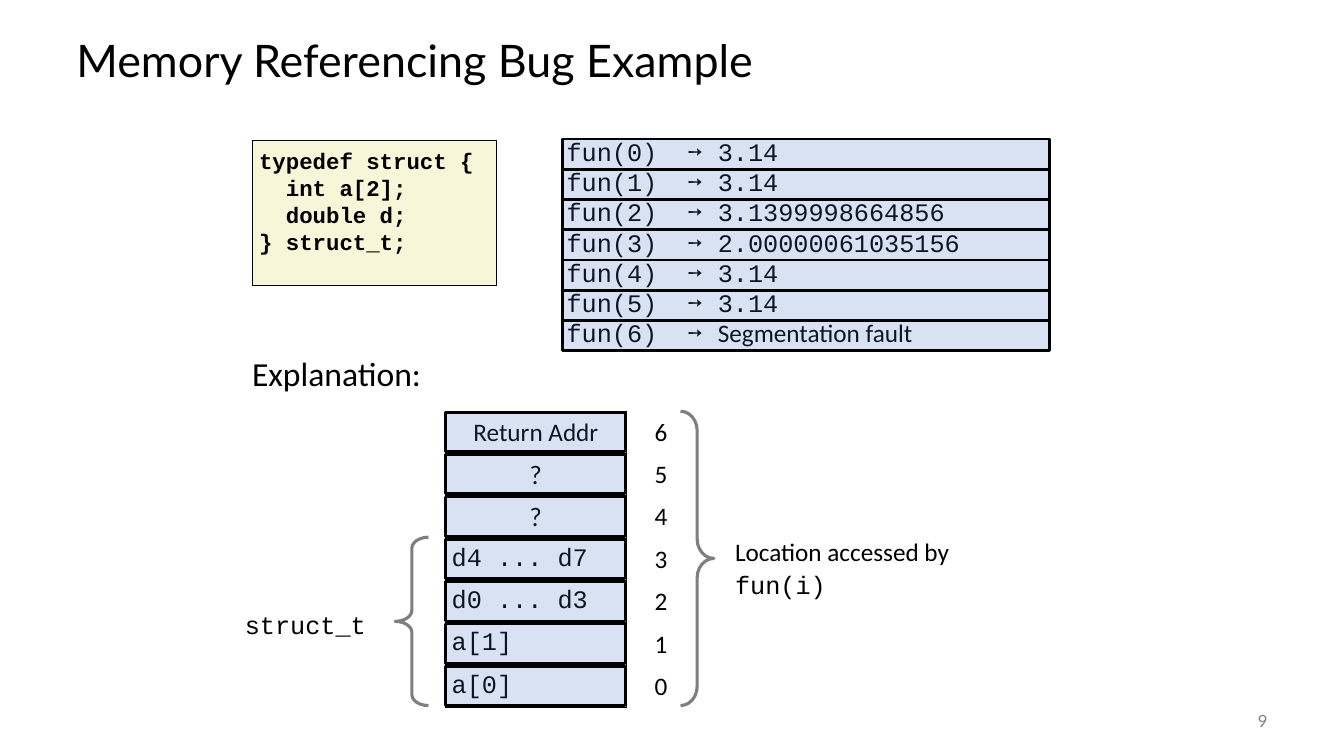
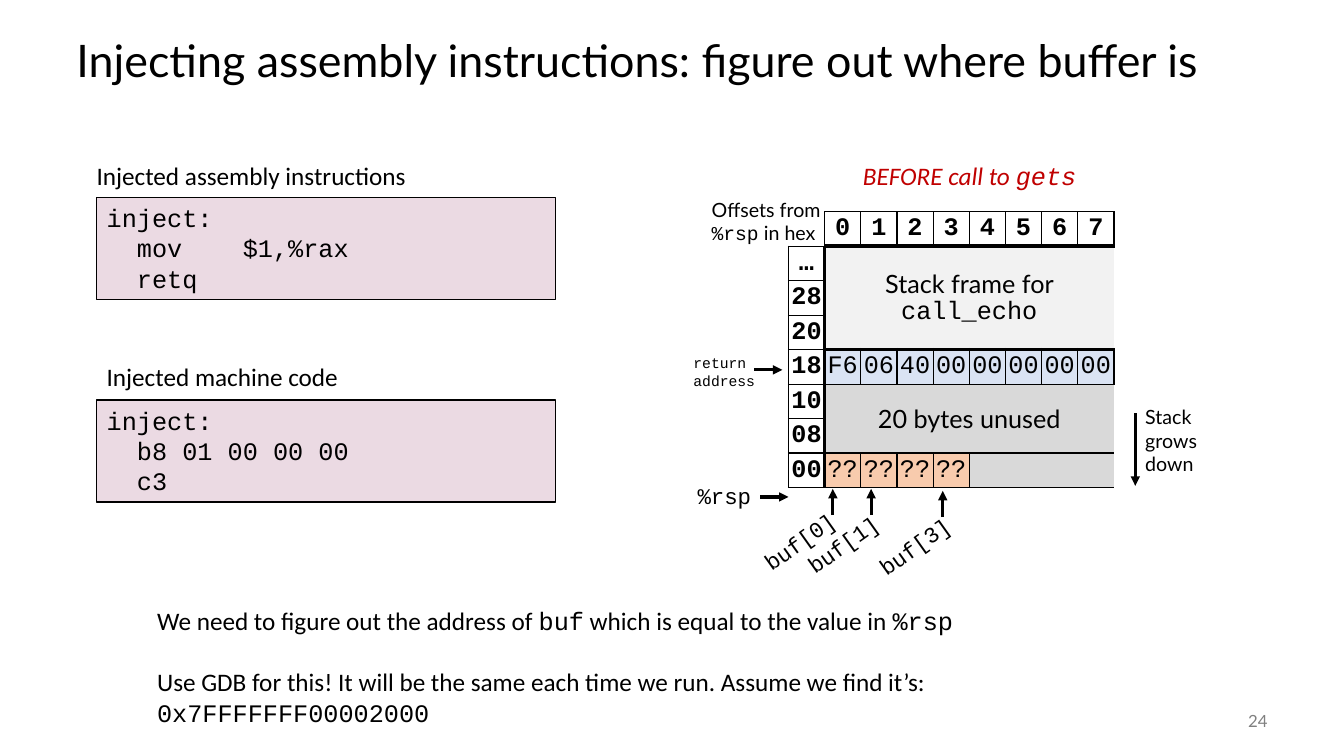
"""Build two slides about memory bugs and code injection on the stack."""
import lxml.etree
import pptx
import pptx.dml.color
import pptx.enum.shapes
import pptx.enum.text
import pptx.oxml.ns
import pptx.util

PX = 9144
COLORS = {
    "ink": "000000", "gray": "808080", "brace": "7F7F7F", "red": "C00000",
    "white": "FFFFFF", "cream": "F8F6D9", "pink": "EBDAE3", "blue": "4472C4",
    "frame": "F2F2F2", "address": "DAE3F3", "unused": "D9D9D9", "buffer": "F8CBAD",
}
RGB = {name: pptx.dml.color.RGBColor.from_string(value) for name, value in COLORS.items()}
SANS, MONO, LATO = "Calibri", "Courier New", "Lato"
ALIGN = pptx.enum.text.PP_ALIGN
MIDDLE = pptx.enum.text.MSO_ANCHOR.MIDDLE
TOP = pptx.enum.text.MSO_ANCHOR.TOP
SHAPE = pptx.enum.shapes.MSO_SHAPE
STRAIGHT = pptx.enum.shapes.MSO_CONNECTOR.STRAIGHT
qn = pptx.oxml.ns.qn


def write(frame, paragraphs, font=SANS, size=18, color="ink", align=ALIGN.LEFT,
          bold=False, italic=False, spacing=None, gap=0):
    """Fill a text frame; a paragraph is a string or a list of (text, font) spans."""
    for index, content in enumerate(paragraphs):
        paragraph = frame.add_paragraph() if index else frame.paragraphs[0]
        paragraph.alignment = align
        if spacing:
            paragraph.line_spacing = spacing
        if index and gap:
            paragraph.space_before = pptx.util.Pt(gap)
        paragraph.font.size = pptx.util.Pt(size)
        paragraph.font.bold = bold
        paragraph.font.italic = italic
        paragraph.font.color.rgb = RGB[color]
        if isinstance(content, str):
            paragraph.font.name = font
            paragraph.add_run().text = content
            continue
        for text, span_font in content:
            span = paragraph.add_run()
            span.text = text
            span.font.name = span_font


def draw_edge(cell, side, points):
    """Give one side of a table cell a black line."""
    properties = cell._tc.get_or_add_tcPr()
    line = lxml.etree.SubElement(properties, qn(f"a:{side}"), w=str(pptx.util.Pt(points)))
    fill = lxml.etree.SubElement(line, qn("a:solidFill"))
    lxml.etree.SubElement(fill, qn("a:srgbClr"), val=COLORS["ink"])


deck = pptx.Presentation()
deck.slide_width = 1333 * PX
deck.slide_height = 750 * PX
bug_page, inject_page = [deck.slides.add_slide(deck.slide_layouts[6]) for _ in range(2)]

results = ["3.14", "3.14", "3.1399998664856", "2.00000061035156", "3.14", "3.14"]
result_lines = [f"fun({i})  ➙\t{result}" for i, result in enumerate(results)]
result_lines.append([("fun(6)  ➙\t", MONO), ("Segmentation fault", SANS)])
struct_code = ["typedef struct {", "  int a[2];", "  double d;", "} struct_t;"]
assembly = ["inject:", "  mov    $1,%rax", "  retq"]
machine_code = ["inject:", "  b8 01 00 00 00", "  c3"]
notes = [
    [("We need to figure out the address of ", SANS), ("buf", MONO),
     (" which is equal to the value in ", SANS), ("%rsp", MONO)],
    [("Use GDB for this! It will be the same each time we run. Assume we find it’s: ", SANS),
     ("0x7FFFFFFF00002000", MONO)],
]

boxes = []
for page, title, number in (
    (bug_page, "Memory Referencing Bug Example", "9"),
    (inject_page, "Injecting assembly instructions: figure out where buffer is", "24"),
):
    boxes += [
        (page, (66, 25, 1200, 75), [title], {"anchor": MIDDLE},
         {"font": LATO, "size": 32, "spacing": 0.9}),
        (page, (1167, 695, 100, 40), [number], {"anchor": MIDDLE},
         {"font": LATO, "size": 12, "color": "gray", "align": ALIGN.RIGHT}),
    ]
boxes += [
    (bug_page, (250, 139, 242, 144), struct_code,
     {"fill": "cream", "line": 0.5, "inset": (7, 7)}, {"font": MONO, "size": 16, "bold": True}),
    (bug_page, (558, 131, 483, 241), result_lines,
     {"fill": "white", "inset": (4, 4)}, {"font": MONO}),
    (bug_page, (725, 525, 232, 71), [[("Location accessed by ", SANS), ("fun(i)", MONO)]],
     {"inset": (4, 4)}, {"spacing": 1.1}),
    (bug_page, (250, 350, 190, 40), ["Explanation:"], {"inset": (0, 0)}, {"size": 24}),
    (bug_page, (233, 600, 150, 40), ["struct_t"], {}, {"font": MONO}),
    (inject_page, (96, 196, 455, 101), assembly, {"fill": "pink", "line": 1}, {"font": MONO}),
    (inject_page, (96, 397, 455, 101), machine_code, {"fill": "pink", "line": 1}, {"font": MONO}),
    (inject_page, (86, 154, 360, 40), ["Injected assembly instructions"], {}, {}),
    (inject_page, (96, 354, 280, 40), ["Injected machine code"], {}, {}),
    (inject_page, (146, 596, 1041, 131), notes, {}, {"gap": 22}),
    (inject_page, (846, 154, 250, 40), [[("BEFORE call to ", SANS), ("gets", MONO)]], {},
     {"color": "red", "italic": True}),
    (inject_page, (682, 473, 80, 37), ["%rsp"], {}, {"font": MONO, "size": 16}),
    (inject_page, (678, 346, 84, 45), ["return address"], {}, {"font": MONO, "size": 10.5}),
    (inject_page, (696, 191, 150, 57),
     [[("Offsets from ", LATO), ("%rsp", MONO), (" in hex", LATO)]], {}, {"size": 14}),
    (inject_page, (1126, 397, 79, 81), ["Stack grows down"], {}, {"font": LATO, "size": 14}),
]
for left, top, index in ((743, 518, 0), (786, 521, 1), (857, 523, 3)):
    boxes.append((inject_page, (left, top, 102, 37), [f"buf[{index}]"], {"turn": 324.6},
                  {"font": MONO, "size": 16}))

for page, place, paragraphs, look, style in boxes:
    place = [length * PX for length in place]
    if "fill" in look:
        box = page.shapes.add_shape(SHAPE.RECTANGLE, *place)
        box.shadow.inherit = False
        box.fill.solid()
        box.fill.fore_color.rgb = RGB[look["fill"]]
        if "line" in look:
            box.line.color.rgb = RGB["ink"]
            box.line.width = pptx.util.Pt(look["line"])
        else:
            box.line.fill.background()
    else:
        box = page.shapes.add_textbox(*place)
    box.rotation = look.get("turn", 0)
    frame = box.text_frame
    frame.word_wrap = True
    frame.vertical_anchor = look.get("anchor", TOP)
    side, edge = look.get("inset", (10, 5))
    frame.margin_left = frame.margin_right = side * PX
    frame.margin_top = frame.margin_bottom = edge * PX
    write(frame, paragraphs, **style)

tables = []
for page, rows, columns, place, inset in (
    (bug_page, 7, 2, (442, 408, 226, 292), 6),
    (inject_page, 8, 9, (782, 210, 323, 274), 0),
):
    table = page.shapes.add_table(rows, columns, *[length * PX for length in place]).table
    table.first_row = table.horz_banding = False
    style_id = table._tbl.tblPr.find(qn("a:tableStyleId"))
    style_id.text = "{2D5ABB26-0587-4C30-8999-92F81FD0307C}"
    for cell in table.iter_cells():
        cell.margin_left = cell.margin_right = inset * PX
        cell.margin_top = cell.margin_bottom = inset * PX
        cell.vertical_anchor = MIDDLE
    tables.append(table)
memory, stack = tables

memory.columns[0].width = 179 * PX
memory.columns[1].width = 47 * PX
memory_rows = [
    ("Return Addr", SANS, ALIGN.CENTER), ("?", LATO, ALIGN.CENTER), ("?", LATO, ALIGN.CENTER),
    ("d4 ... d7", MONO, ALIGN.LEFT), ("d0 ... d3", MONO, ALIGN.LEFT),
    ("a[1]", MONO, ALIGN.LEFT), ("a[0]", MONO, ALIGN.LEFT),
]
for row, (text, font, align) in enumerate(memory_rows):
    for side in ("lnL", "lnR", "lnT", "lnB"):
        draw_edge(memory.cell(row, 0), side, 1)
    write(memory.cell(row, 0).text_frame, [text], font=font, align=align)
    write(memory.cell(row, 1).text_frame, [str(6 - row)], align=ALIGN.RIGHT)

overlays = [(558, 138 + 30 * row, 483, 30) for row in range(7)]
overlays += [(442, 409 + 42 * row, 178, 39) for row in range(7)]
for place in overlays:
    overlay = bug_page.shapes.add_shape(SHAPE.RECTANGLE, *[length * PX for length in place])
    overlay.shadow.inherit = False
    overlay.fill.solid()
    overlay.fill.fore_color.rgb = RGB["blue"]
    tint = overlay.element.spPr.find(qn("a:solidFill")).find(qn("a:srgbClr"))
    lxml.etree.SubElement(tint, qn("a:alpha"), val="20000")
    overlay.line.color.rgb = RGB["ink"]
    overlay.line.width = pptx.util.Pt(2)

for kind, place, curve in (
    (SHAPE.RIGHT_BRACE, (675, 408, 33, 292), 0.58),
    (SHAPE.LEFT_BRACE, (392, 533, 33, 167), 0.33),
):
    brace = bug_page.shapes.add_shape(kind, *[length * PX for length in place])
    brace.shadow.inherit = False
    brace.adjustments[0] = curve
    brace.fill.background()
    brace.line.color.rgb = RGB["brace"]
    brace.line.width = pptx.util.Pt(2.25)

offsets = ["…", "28", "20", "18", "10", "08", "00"]
blocks = [(0, column, 1, 1, str(column - 1), None, MONO) for column in range(1, 9)]
blocks += [(row, 0, 1, 1, text, None, MONO) for row, text in enumerate(offsets, 1)]
blocks += [(4, column, 1, 1, text, "address", MONO)
           for column, text in enumerate(["F6", "06", "40"] + ["00"] * 5, 1)]
blocks += [(7, column, 1, 1, "??", "buffer", MONO) for column in range(1, 5)]
blocks += [
    (1, 1, 3, 8, [("Stack frame for ", LATO), ("call_echo", MONO)], "frame", LATO),
    (5, 1, 2, 8, "20 bytes unused", "unused", LATO),
    (7, 5, 1, 4, "", "unused", LATO),
]
for top, left, height, width, text, fill, font in blocks:
    bottom, right = top + height - 1, left + width - 1
    for row in range(top, bottom + 1):
        for column in range(left, right + 1):
            cell = stack.cell(row, column)
            open_side = column >= 5
            edges = (
                ("lnL", column == left, column == 1 and row > 0),
                ("lnR", column == right, column == 0),
                ("lnT", row == top and not (row == 7 and open_side), row == 1 and column > 0),
                ("lnB", row == bottom and not (row == 6 and open_side), row == 0),
            )
            for side, shown, thick in edges:
                if shown:
                    draw_edge(cell, side, 3 if thick else 1)
            if fill:
                cell.fill.solid()
                cell.fill.fore_color.rgb = RGB[fill]
    cell = stack.cell(top, left)
    if height * width > 1:
        cell.merge(stack.cell(bottom, right))
    if text:
        write(cell.text_frame, [text], font=font, align=ALIGN.CENTER, bold=fill is None)

for ends in (
    (754, 493, 782, 493), (748, 367, 776, 367), (1126, 410, 1126, 482),
    (826, 511, 826, 485), (864, 511, 864, 485), (935, 513, 935, 487),
):
    arrow = inject_page.shapes.add_connector(STRAIGHT, *[length * PX for length in ends])
    arrow.line.color.rgb = RGB["ink"]
    arrow.line.width = pptx.util.Pt(2.25)
    properties = arrow.element.spPr
    lxml.etree.SubElement(properties.find(qn("a:ln")), qn("a:tailEnd"), type="triangle")
    lxml.etree.SubElement(properties, qn("a:effectLst"))

deck.save("out.pptx")
